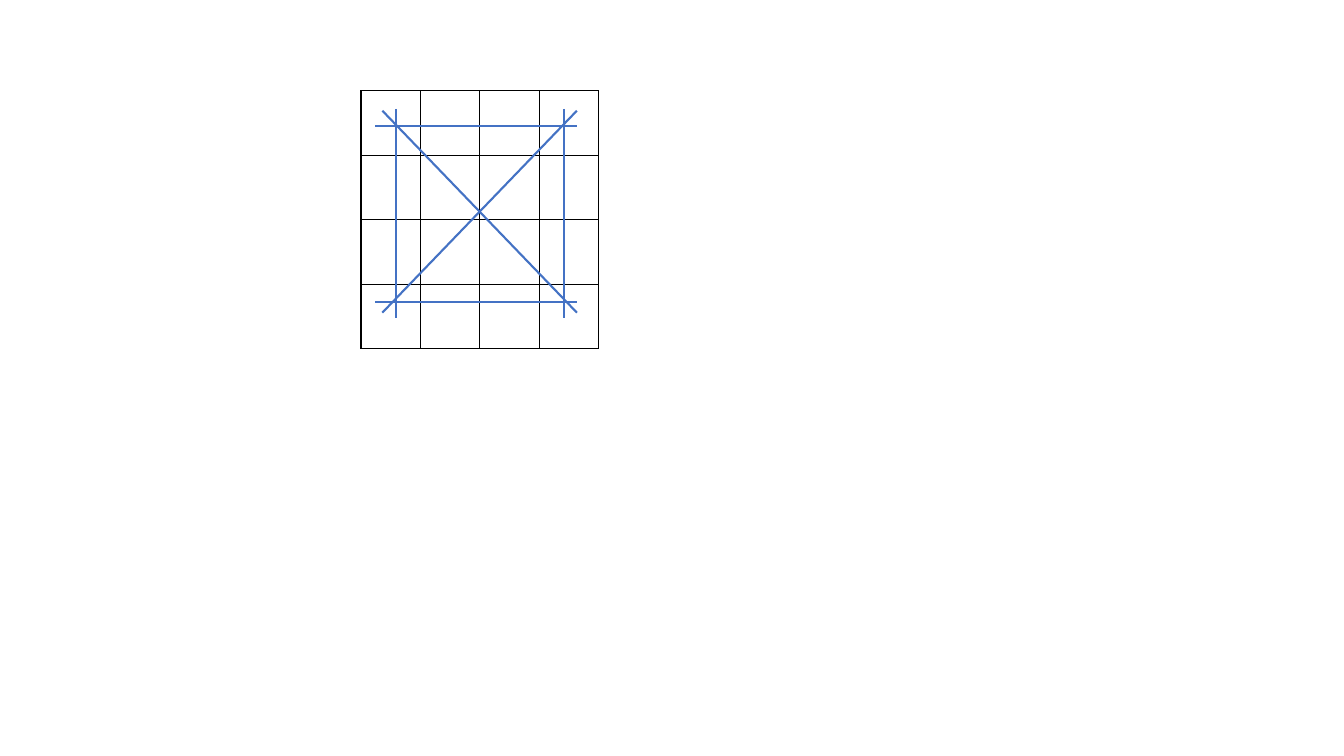
from dataclasses import dataclass

from lxml import etree
from pptx import Presentation
from pptx.dml.color import RGBColor
from pptx.enum.shapes import MSO_CONNECTOR
from pptx.oxml.ns import qn
from pptx.util import Inches, Pt

STRAIGHT = MSO_CONNECTOR.STRAIGHT
BORDERS = ("a:lnL", "a:lnR", "a:lnT", "a:lnB")


@dataclass(frozen=True)
class Theme:
    border: str = "000000"
    border_width: float = 1
    stroke: str = "4472C4"
    stroke_width: float = 1.5


@dataclass(frozen=True)
class Grid:
    left: float = 3.58
    top: float = 0.9
    col: float = 0.59
    row: float = 0.64
    size: int = 4

    def point(self, col, row):
        return Inches(self.left + col * self.col), Inches(self.top + row * self.row)


class Board:
    def __init__(self, s, theme, grid):
        self.s, self.theme, self.grid = s, theme, grid

    def table(self):
        g = self.grid
        frame = self.s.shapes.add_table(
            g.size, g.size, *g.point(0, 0),
            Inches(g.col * g.size), Inches(g.row * g.size))
        tbl = frame.table
        for name, value in {"first_row": False, "horz_banding": False}.items():
            setattr(tbl, name, value)
        for col in tbl.columns:
            col.width = Inches(g.col)
        for row in tbl.rows:
            row.height = Inches(g.row)
        for cell in tbl.iter_cells():
            self.border(cell)
            cell.fill.background()

    def border(self, cell):
        tc_pr = cell._tc.get_or_add_tcPr()
        for tag in BORDERS:
            ln = etree.SubElement(tc_pr, qn(tag), w=str(Pt(self.theme.border_width)))
            fill = etree.SubElement(ln, qn("a:solidFill"))
            etree.SubElement(fill, qn("a:srgbClr"), val=self.theme.border)

    def line(self, start, end):
        g = self.grid
        c = self.s.shapes.add_connector(STRAIGHT, *g.point(*start), *g.point(*end))
        c.line.color.rgb = RGBColor.from_string(self.theme.stroke)
        c.line.width = Pt(self.theme.stroke_width)
        etree.SubElement(c._element.spPr, qn("a:effectLst"))


def main():
    prs = Presentation()
    prs.slide_width, prs.slide_height = Inches(13.33), Inches(7.5)
    s = prs.slides.add_slide(prs.slide_layouts[6])
    board = Board(s, Theme(), Grid())
    board.table()
    for row in (3.28, 0.55):
        board.line((0.24, row), (3.63, row))
    for col in (0.59, 3.42):
        board.line((col, 0.28), (col, 3.53))
    for start, end in ((0.36, 3.63), (3.63, 0.36)):
        board.line((start, 0.31), (end, 3.44))
    prs.save("out.pptx")


if __name__ == "__main__":
    main()
